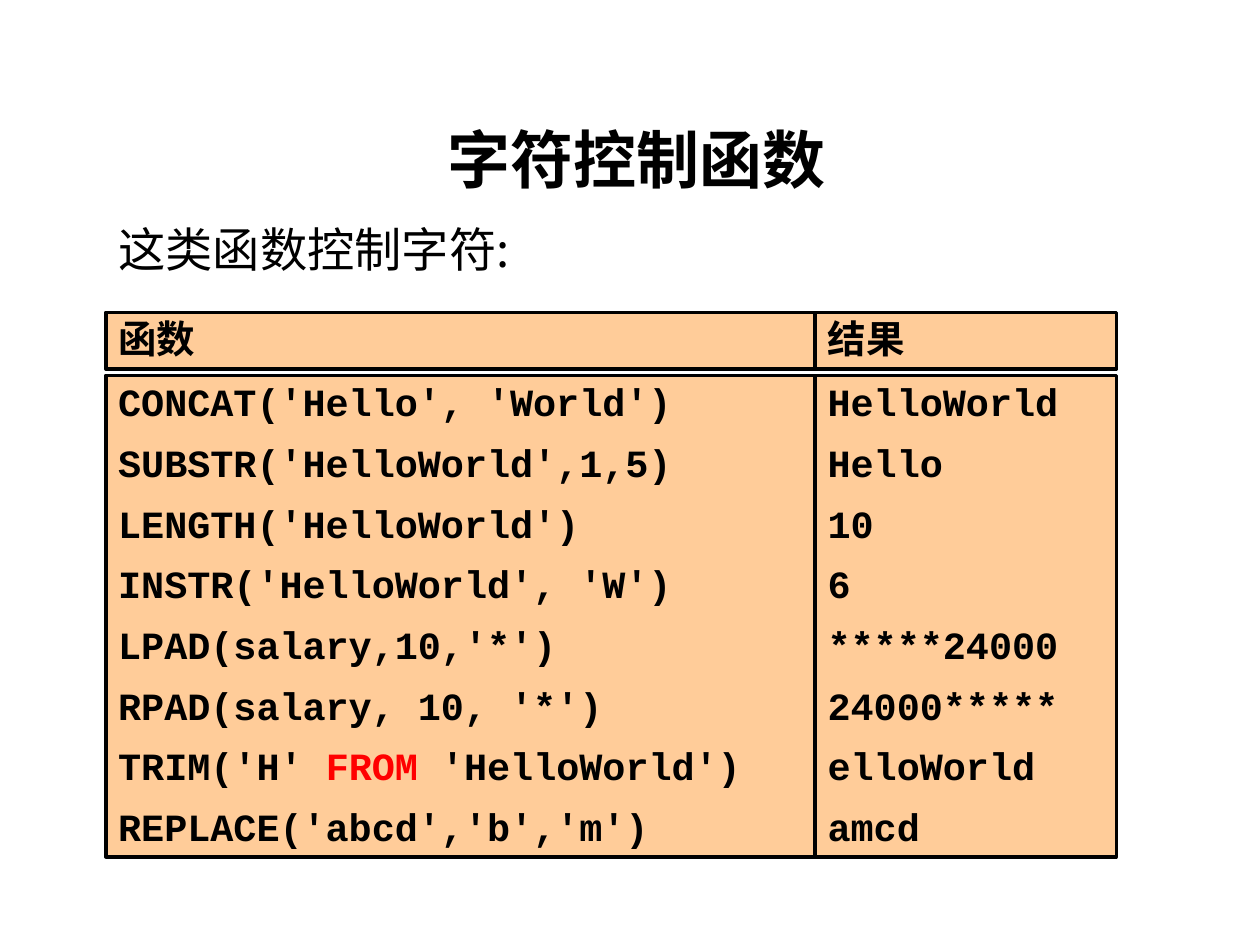
from dataclasses import dataclass

import pptx
import pptx.dml.color
import pptx.enum.shapes
import pptx.enum.text
import pptx.oxml
import pptx.oxml.ns
import pptx.util

Inches, Pt = pptx.util.Inches, pptx.util.Pt
TEXT = pptx.enum.text
BLACK, RED, PEACH = "000000", "FF0000", "FFCC99"
CJK, HEAD, CODE = "Noto Sans CJK SC", "Arial", "Courier New"

# Grid of the two-column listing, in inches
LEFT, SPLIT, RIGHT = 0.84, 6.47, 8.86
HEAD_TOP, HEAD_H = 2.48, 0.45
BODY_TOP, BODY_H = 2.98, 3.82

ROWS = [
    ("CONCAT('Hello', 'World')", "HelloWorld"),
    ("SUBSTR('HelloWorld',1,5)", "Hello"),
    ("LENGTH('HelloWorld')", "10"),
    ("INSTR('HelloWorld', 'W')", "6"),
    ("LPAD(salary,10,'*')", "*****24000"),
    ("RPAD(salary, 10, '*')", "24000*****"),
    ("TRIM('H' FROM 'HelloWorld')", "elloWorld"),
    ("REPLACE('abcd','b','m')", "amcd"),
]
KEYWORD = "FROM"


@dataclass
class Panel:
    left: float
    top: float
    width: float
    height: float
    font: str
    lines: list[str]


def rgb(value: str) -> pptx.dml.color.RGBColor:
    return pptx.dml.color.RGBColor.from_string(value)


def style(r, font: str, size: float, bold: bool, color: str = BLACK) -> None:
    r.font.name, r.font.size, r.font.bold = font, Pt(size), bold
    r.font.color.rgb = rgb(color)


def add_line(p, line: str, font: str) -> None:
    """Write one line, with the SQL keyword in red."""
    before, keyword, after = line.partition(KEYWORD)
    for text, color in ((before, BLACK), (keyword, RED), (after, BLACK)):
        if text:
            r = p.add_run()
            r.text = text
            style(r, font, 22, True, color)


def add_panel(s, panel: Panel) -> None:
    box = (panel.left, panel.top, panel.width, panel.height)
    sp = s.shapes.add_shape(pptx.enum.shapes.MSO_SHAPE.RECTANGLE, *map(Inches, box))
    sp.shadow.inherit = False
    sp.fill.solid()
    sp.fill.fore_color.rgb = rgb(PEACH)
    sp.line.color.rgb = rgb(BLACK)
    sp.line.width = Pt(2)
    tf = sp.text_frame
    tf.word_wrap = True
    tf.auto_size = TEXT.MSO_AUTO_SIZE.SHAPE_TO_FIT_TEXT
    tf.vertical_anchor = TEXT.MSO_ANCHOR.TOP
    for i, line in enumerate(panel.lines):
        p = tf.add_paragraph() if i else tf.paragraphs[0]
        p.alignment = TEXT.PP_ALIGN.LEFT
        p.line_spacing = 0.95
        p.space_before = Pt(9.6 if i else 0)
        add_line(p, line, panel.font)


def fill_placeholder(sp, text: str, top: float, height: float, size: float,
                     bold: bool, align) -> None:
    sp.left, sp.top, sp.width, sp.height = map(Inches, (LEFT, top, 8.42, height))
    tf = sp.text_frame
    tf.text = text
    tf.word_wrap = True
    tf.auto_size = TEXT.MSO_AUTO_SIZE.NONE
    tf.vertical_anchor = TEXT.MSO_ANCHOR.TOP
    p = tf.paragraphs[0]
    p.alignment = align
    p.space_before = Pt(0)
    # No bullet and no hanging indent
    pPr = p._p.get_or_add_pPr()
    pPr.set("marL", "0")
    pPr.set("indent", "0")
    pPr.append(pptx.oxml.parse_xml(f'<a:buNone {pptx.oxml.ns.nsdecls("a")}/>'))
    r = p.runs[0]
    style(r, CJK, size, bold)
    # East Asian typeface
    r.font._element.append(pptx.oxml.parse_xml(
        f'<a:ea {pptx.oxml.ns.nsdecls("a")} typeface="{CJK}"/>'))


def main() -> None:
    prs = pptx.Presentation()
    prs.slide_width, prs.slide_height = Inches(10), Inches(7.5)
    s = prs.slides.add_slide(prs.slide_layouts[1])

    # Title and lead-in
    fill_placeholder(s.shapes.title, "字符控制函数", 0.91, 1.57, 36, True,
                     TEXT.PP_ALIGN.CENTER)
    fill_placeholder(s.placeholders[1], "这类函数控制字符:", 1.7, 0.56, 27, False,
                     TEXT.PP_ALIGN.LEFT)

    # Listing: bodies, then headers; the right column overlaps the left one
    functions, results = map(list, zip(*ROWS))
    result_w = RIGHT - SPLIT
    for panel in (
        Panel(LEFT, BODY_TOP, 5.66, BODY_H, CODE, functions),
        Panel(SPLIT, BODY_TOP, result_w, BODY_H, CODE, results),
        Panel(LEFT, HEAD_TOP, 5.9, HEAD_H, HEAD, ["函数"]),
        Panel(SPLIT, HEAD_TOP, result_w, HEAD_H, HEAD, ["结果"]),
    ):
        add_panel(s, panel)

    prs.save("out.pptx")


if __name__ == "__main__":
    main()
